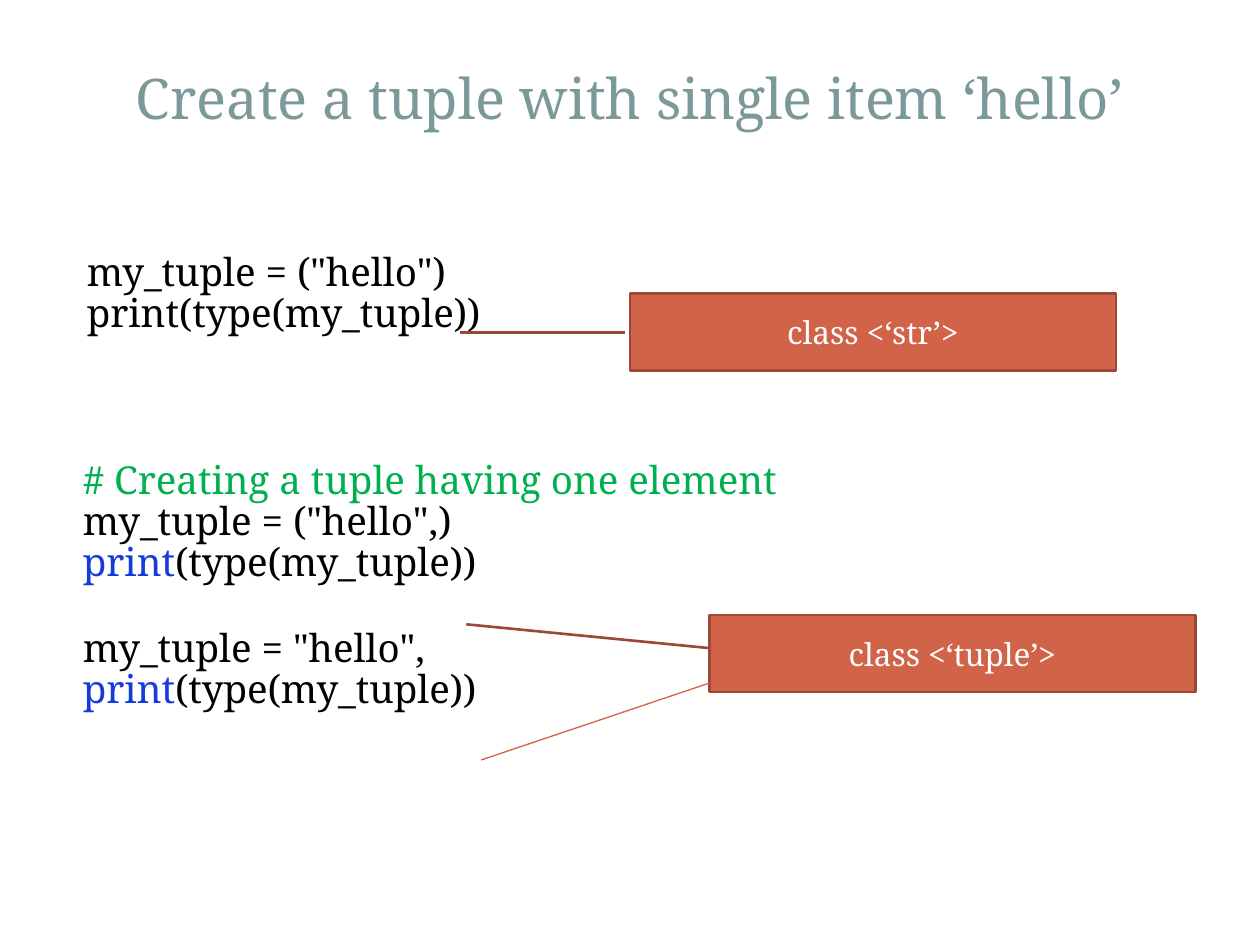
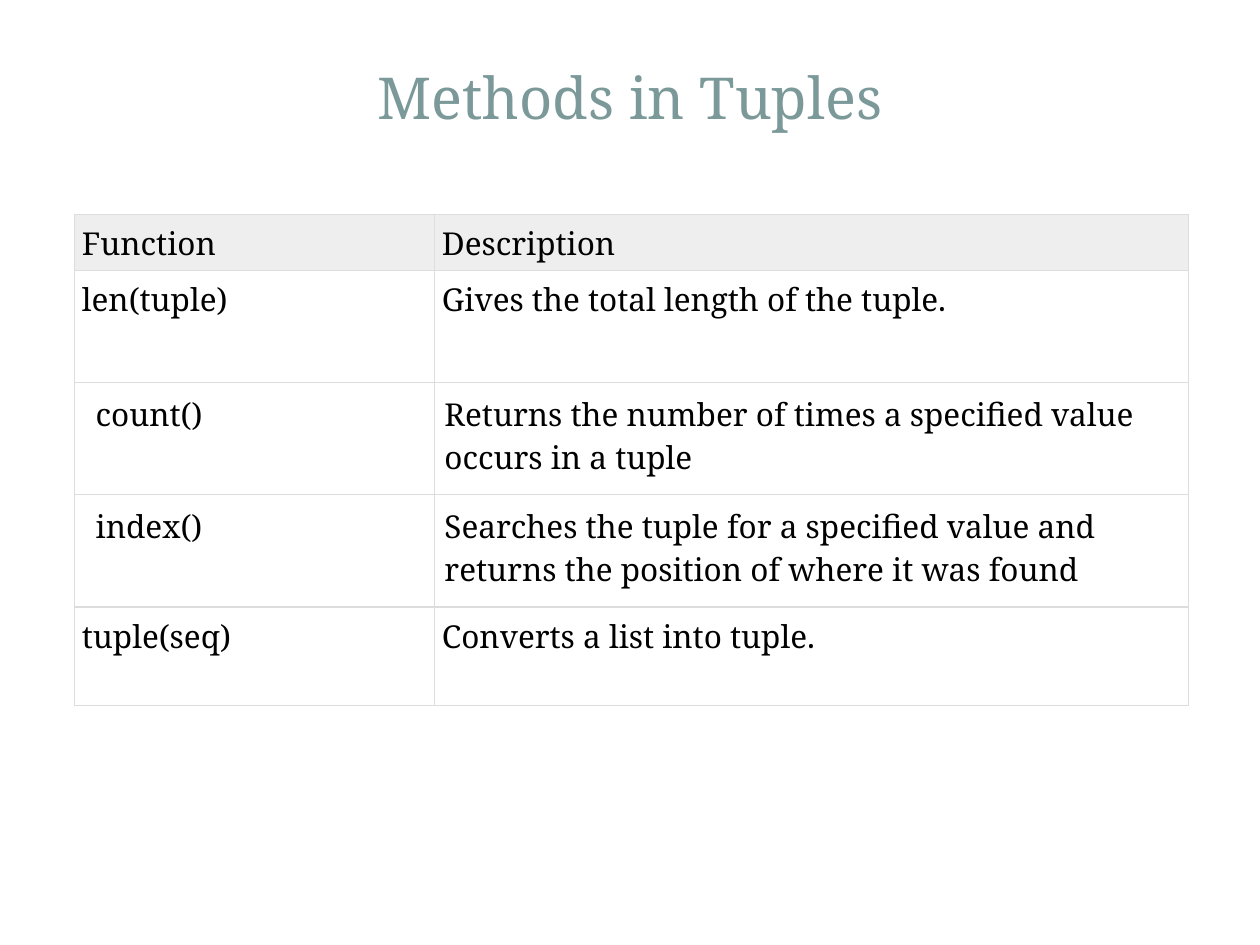
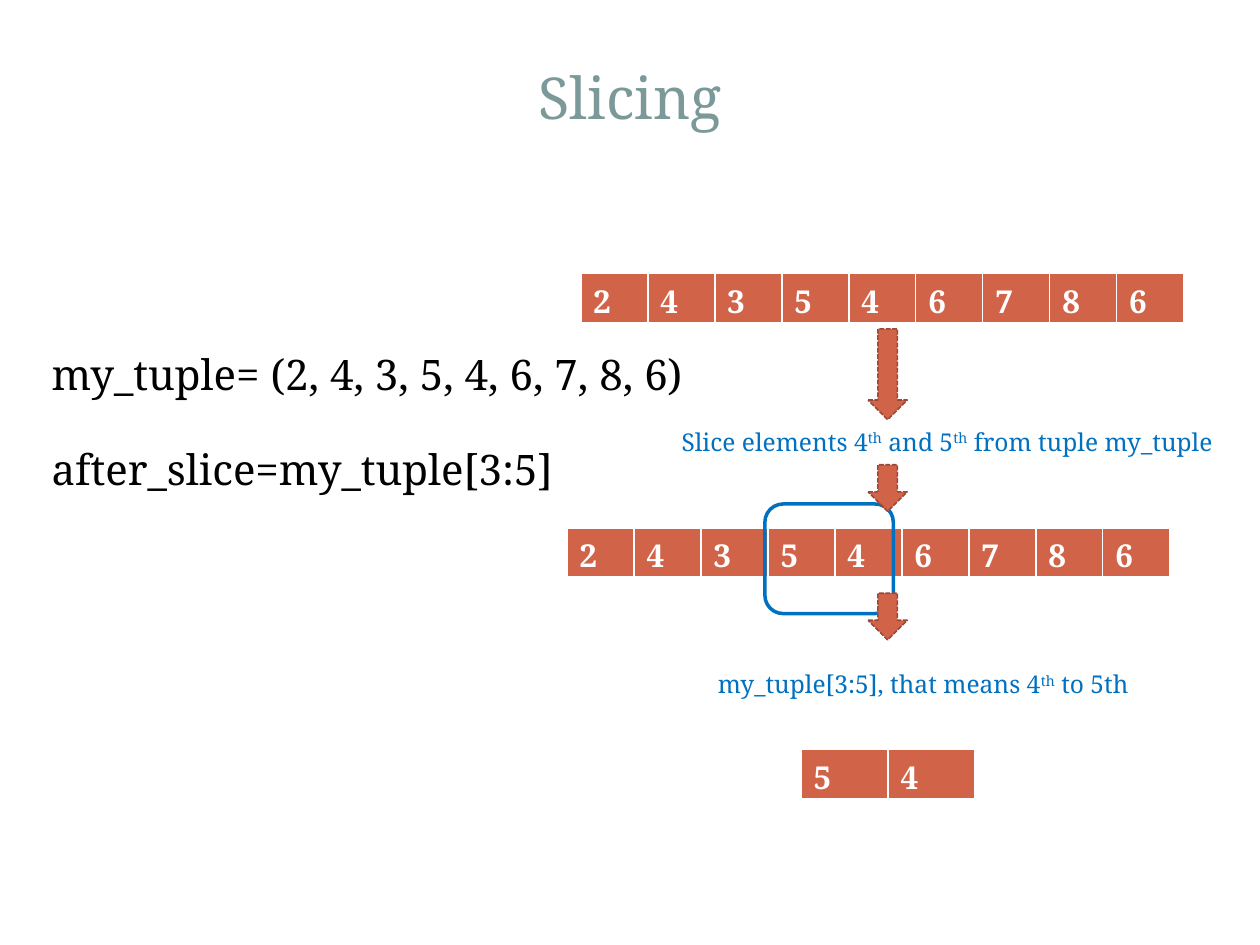
"""Build three slides on Python tuples: single items, methods and slicing."""
from lxml.etree import SubElement
from pptx import Presentation
from pptx.dml.color import RGBColor
from pptx.enum.dml import MSO_LINE
from pptx.enum.shapes import MSO_CONNECTOR, MSO_SHAPE
from pptx.enum.text import MSO_ANCHOR, MSO_AUTO_SIZE, PP_ALIGN
from pptx.oxml.ns import qn
from pptx.util import Cm, Pt

COLORS = {
    "title": "7C999A", "text": "000000", "comment": "00B050", "keyword": "153BDB",
    "accent": "D16349", "outline": "9B4936", "note": "0070C0", "white": "FFFFFF",
    "header": "EEEEEE", "grid": "DDDDDD",
}
FONT = "Noto Serif"


def rgb(name):
    return RGBColor.from_string(COLORS[name])


class TupleDeck:
    def __init__(self):
        self.deck = Presentation()
        self.deck.slide_width, self.deck.slide_height = Cm(25.4), Cm(19.05)
        self.page = None

    def add_page(self, title, size=33):
        self.page = self.deck.slides.add_slide(self.deck.slide_layouts[6])
        frame = self.add_box(0.85, 0.64, 23.7, 2.12).text_frame
        frame.vertical_anchor = MSO_ANCHOR.BOTTOM
        self.set_lines(frame, [title], size, "title", PP_ALIGN.CENTER)

    def add_box(self, left, top, width, height):
        box = self.page.shapes.add_textbox(Cm(left), Cm(top), Cm(width), Cm(height))
        box.text_frame.word_wrap = True
        return box

    def set_lines(self, frame, lines, size, color, align=PP_ALIGN.LEFT, bold=False):
        """Set lines, each a string or a list of (text, colour, raised) spans."""
        frame.text = "\n" * (len(lines) - 1)
        for para, line in zip(frame.paragraphs, lines):
            para.alignment = align
            spans = [(line, color, False)] if isinstance(line, str) else line
            for text, span_color, raised in spans:
                span = para.add_run()
                span.text = text
                span.font.name, span.font.size, span.font.bold = FONT, Pt(size), bold
                span.font.color.rgb = rgb(span_color)
                if raised:
                    span.font._element.set("baseline", "30000")

    def add_code(self, left, top, width, height, lines, size, gap_before=None):
        frame = self.add_box(left, top, width, height).text_frame
        frame.auto_size = MSO_AUTO_SIZE.SHAPE_TO_FIT_TEXT
        frame.margin_top = Cm(0.2)
        self.set_lines(frame, lines, size, "text")
        for para in frame.paragraphs:
            para.line_spacing = 0.88
        if gap_before is not None:
            frame.paragraphs[gap_before].space_before = Pt(size * 1.2)

    def add_note(self, left, top, width, parts):
        spans = [(text, "note", text == "th") for text in parts]
        self.set_lines(self.add_box(left, top, width, 0.86).text_frame, [spans], 14, "note")

    def add_shape(self, kind, left, top, width, height, fill, line, weight):
        shape = self.page.shapes.add_shape(kind, Cm(left), Cm(top), Cm(width), Cm(height))
        shape.shadow.inherit = False
        if fill:
            shape.fill.solid()
            shape.fill.fore_color.rgb = rgb(fill)
        else:
            shape.fill.background()
        shape.line.color.rgb = rgb(line)
        shape.line.width = Pt(weight)
        return shape

    def add_callout(self, left, top, text, pointer):
        callout = self.add_shape(MSO_SHAPE.LINE_CALLOUT_1, left, top, 9.8, 1.55,
                                 "accent", "outline", 1.5)
        for index, value in enumerate(pointer):
            callout.adjustments[index] = value
        callout.text_frame.vertical_anchor = MSO_ANCHOR.MIDDLE
        self.set_lines(callout.text_frame, [text], 18, "white", PP_ALIGN.CENTER)

    def add_arrow(self, top, height):
        arrow = self.add_shape(MSO_SHAPE.DOWN_ARROW, 17.5, top, 0.79, height,
                               "accent", "outline", 0.9)
        arrow.line.dash_style = MSO_LINE.SQUARE_DOT

    def add_line(self, x1, y1, x2, y2):
        line = self.page.shapes.add_connector(
            MSO_CONNECTOR.STRAIGHT, Cm(x1), Cm(y1), Cm(x2), Cm(y2))
        line.line.color.rgb = rgb("accent")
        line.line.width = Pt(0.75)
        SubElement(line._element.spPr, qn("a:effectLst"))

    def add_table(self, left, top, columns, rows):
        frame = self.page.shapes.add_table(len(rows), len(columns), Cm(left), Cm(top),
                                           Cm(sum(columns)), Cm(sum(rows)))
        table = frame.table
        table.first_row = table.horz_banding = False
        for column, width in zip(table.columns, columns):
            column.width = Cm(width)
        for row, height in zip(table.rows, rows):
            row.height = Cm(height)
        return table

    def style_cell(self, cell, text, fill, color, border, weights, bold=False):
        properties = cell._tc.get_or_add_tcPr()
        for side, weight in zip("LRTB", weights):
            edge = SubElement(properties, qn(f"a:ln{side}"), w=str(Pt(weight)))
            paint = SubElement(edge, qn("a:solidFill"))
            SubElement(paint, qn("a:srgbClr"), val=COLORS[border])
        if fill:
            cell.fill.solid()
            cell.fill.fore_color.rgb = rgb(fill)
        else:
            cell.fill.background()
        self.set_lines(cell.text_frame, [text], 18, color, bold=bold)

    def add_sequence(self, left, top, values, width):
        table = self.add_table(left, top, [width] * len(values), [1.02])
        for cell, value in zip(table.iter_cells(), values):
            self.style_cell(cell, str(value), "accent", "white", "white", (1, 1, 1, 3), True)
            cell.margin_bottom = 0

    def add_methods(self, left, top, columns, heights, entries):
        table = self.add_table(left, top, columns, heights)
        for row, entry in enumerate(entries):
            indented = entry[0] in ("count()", "index()")
            for column, text in enumerate(entry):
                cell = table.cell(row, column)
                self.style_cell(cell, text, None if row else "header", "text", "grid",
                                [0.75] * 4)
                inset = Cm(0.2 if indented else 0.15)
                cell.margin_left = Cm(0.43) if indented and column == 0 else inset
                cell.margin_right = cell.margin_top = cell.margin_bottom = inset


def main():
    show = TupleDeck()

    show.add_page("Create a tuple with single item ‘hello’", 32)
    show.add_code(1.5, 4.92, 10.6, 2.14, ['my_tuple = ("hello")', "print(type(my_tuple))"], 22)
    print_line = [("print", "keyword", False), ("(type(my_tuple))", "text", False)]
    show.add_code(1.42, 9.12, 15.3, 5.9, [
        [("# Creating a tuple having one element", "comment", False)],
        'my_tuple = ("hello",)', print_line,
        'my_tuple = "hello",', print_line], 22, gap_before=3)
    show.add_callout(12.7, 5.92, "class <‘str’>", (0.51, -0.01, 0.51, -0.35))
    show.add_callout(14.3, 12.4, "class <‘tuple’>", (0.43, 0, 0.12, -0.5))
    show.add_line(9.7, 15.32, 14.3, 13.77)

    show.add_page("Methods in Tuples")
    show.add_methods(1.5, 4.32, [7.26, 15.19], [1.14, 2.26, 2.26, 2.26, 1.98], [
        ("Function", "Description"),
        ("len(tuple)", "Gives the total length of the tuple."),
        ("count()", "Returns the number of times a specified value occurs in a tuple"),
        ("index()", "Searches the tuple for a specified value and returns the position "
                    "of where it was found"),
        ("tuple(seq)", "Converts a list into tuple.")])

    show.add_page("Slicing")
    values = [2, 4, 3, 5, 4, 6, 7, 8, 6]
    show.add_code(0.79, 6.96, 14.25, 4.37,
                  ["my_tuple= (2, 4, 3, 5, 4, 6, 7, 8, 6)", "after_slice=my_tuple[3:5]"],
                  24, gap_before=1)
    show.add_sequence(11.71, 5.51, values, 1.35)
    show.add_arrow(6.63, 1.83)
    show.add_sequence(11.43, 10.64, values, 1.35)
    show.add_shape(MSO_SHAPE.ROUNDED_RECTANGLE, 15.42, 10.16, 2.59, 2.21, None, "note", 2)
    show.add_arrow(9.37, 0.94)
    show.add_sequence(16.15, 15.11, values[3:5], 1.75)
    show.add_note(13.49, 8.48, 11.61,
                  ["Slice elements 4", "th", " and 5", "th", " from tuple my_tuple"])
    show.add_arrow(11.96, 0.94)
    show.add_note(14.22, 13.36, 9.47, ["my_tuple[3:5], that means 4", "th", " to 5th"])

    show.deck.save("out.pptx")


if __name__ == "__main__":
    main()
